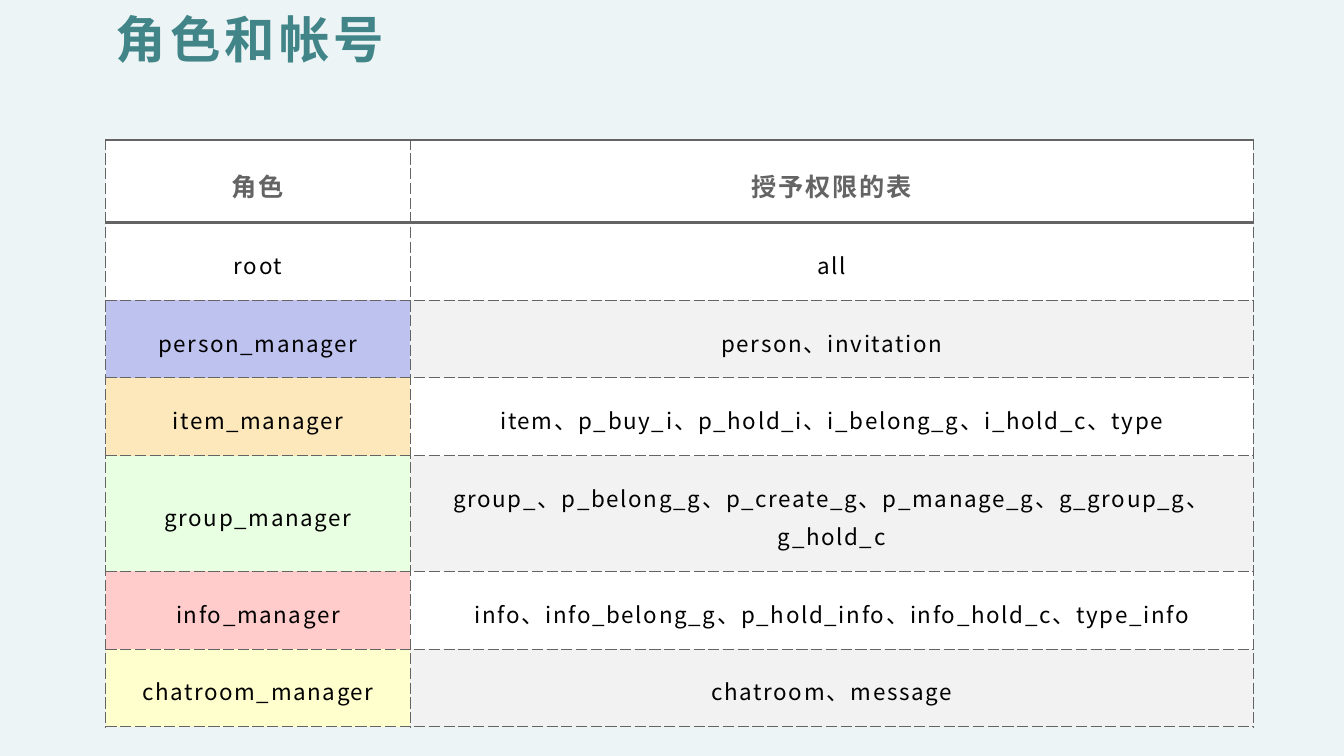
import pptx
import pptx.util
import pptx.dml.color
import pptx.enum.text
import pptx.oxml
import pptx.oxml.ns
from pptx.dml.color import RGBColor

TEAL = RGBColor(0x41, 0x85, 0x88)
GRAY = RGBColor(0x64, 0x64, 0x64)
BLACK = RGBColor(0, 0, 0)
WHITE = RGBColor(0xFF, 0xFF, 0xFF)
BAND = RGBColor(0xF2, 0xF2, 0xF2)
PALE_BLUE = RGBColor(0xEC, 0xF4, 0xF6)
LAVENDER = RGBColor(0xBE, 0xC2, 0xEF)
ORANGE = RGBColor(0xFD, 0xE8, 0xBC)
GREEN = RGBColor(0xE9, 0xFF, 0xE2)
PINK = RGBColor(0xFF, 0xCB, 0xCB)
YELLOW = RGBColor(0xFF, 0xFF, 0xCE)

TITLE = "角色和帐号"
HEADER = ("角色", "授予权限的表")
ROLES = [  # role, colour of the role cell, tables granted
    ("root", WHITE, ["all"]),
    ("person_manager", LAVENDER, ["person", "invitation"]),
    ("item_manager", ORANGE,
     ["item", "p_buy_i", "p_hold_i", "i_belong_g", "i_hold_c", "type"]),
    ("group_manager", GREEN,
     ["group_", "p_belong_g", "p_create_g", "p_manage_g", "g_group_g", "g_hold_c"]),
    ("info_manager", PINK,
     ["info", "info_belong_g", "p_hold_info", "info_hold_c", "type_info"]),
    ("chatroom_manager", YELLOW, ["chatroom", "message"]),
]

LEFT, TABLE_TOP = 1.05, 1.39
COLUMN_WIDTHS = (3.02, 8.36)
HEADER_HEIGHT, ROW_HEIGHT, TALL_ROW_HEIGHT = 0.82, 0.77, 1.15
TALL_ROLE = "group_manager"
TITLE_FONT, TABLE_FONT = "Noto Sans CJK JP", "Noto Sans CJK SC"
THIN, THICK = (0.75, "sysDash"), (2.25, "solid")


def style_paragraph(paragraph, font_name, size, color, bold, spacing):
    """Format every run; spacing is the gap between letters in points."""
    for run in paragraph.runs:
        run.font.name = font_name
        run.font.size = pptx.util.Pt(size)
        run.font.bold = bold
        run.font.color.rgb = color
        properties = run.font._element
        properties.set("spc", str(round(spacing * 100)))
        properties.find(pptx.oxml.ns.qn("a:latin")).addnext(pptx.oxml.parse_xml(
            f'<a:ea {pptx.oxml.ns.nsdecls("a")} typeface="{font_name}"/>'))


def set_borders(cell, top, bottom):
    properties = cell._tc.get_or_add_tcPr()
    sides = (("lnL", THIN), ("lnR", THIN), ("lnT", top), ("lnB", bottom))
    for position, (side, (width, dash)) in enumerate(sides):
        properties.insert(position, pptx.oxml.parse_xml(
            f'<a:{side} {pptx.oxml.ns.nsdecls("a")} w="{pptx.util.Pt(width)}">'
            f'<a:solidFill><a:srgbClr val="{GRAY}"/></a:solidFill>'
            f'<a:prstDash val="{dash}"/></a:{side}>'))


def fill_cell(cell, text, fill, row):
    cell.text_frame.text = text
    cell.vertical_anchor = pptx.enum.text.MSO_ANCHOR.MIDDLE
    cell.margin_left = cell.margin_right = pptx.util.Inches(0.28)
    cell.margin_top = cell.margin_bottom = pptx.util.Inches(0.19)
    cell.fill.solid()
    cell.fill.fore_color.rgb = fill
    paragraph = cell.text_frame.paragraphs[0]
    paragraph.alignment = pptx.enum.text.PP_ALIGN.CENTER
    paragraph.line_spacing = 1.2
    if row == 0:
        style_paragraph(paragraph, TABLE_FONT, 18, GRAY, True, 1.3)
    else:
        style_paragraph(paragraph, TABLE_FONT, 16, BLACK, False, 1.2)
    set_borders(cell, THICK if row < 2 else THIN, THICK if row == 0 else THIN)


def add_title(slide):
    box = slide.shapes.add_textbox(*map(pptx.util.Inches, (LEFT, 0, 12, 0.77)))
    frame = box.text_frame
    frame.word_wrap = True
    frame.vertical_anchor = pptx.enum.text.MSO_ANCHOR.MIDDLE
    frame.text = TITLE
    style_paragraph(frame.paragraphs[0], TITLE_FONT, 36, TEAL, True, 3)


def add_role_table(slide):
    rows = [(HEADER, (WHITE, WHITE), HEADER_HEIGHT)]
    for index, (role, color, tables) in enumerate(ROLES):
        height = TALL_ROW_HEIGHT if role == TALL_ROLE else ROW_HEIGHT
        rows.append(((role, "、".join(tables)), (color, BAND if index % 2 else WHITE), height))

    size = (sum(COLUMN_WIDTHS), sum(height for _, _, height in rows))
    table = slide.shapes.add_table(
        len(rows), len(COLUMN_WIDTHS),
        *map(pptx.util.Inches, (LEFT, TABLE_TOP, *size))).table
    for column, width in zip(table.columns, COLUMN_WIDTHS):
        column.width = pptx.util.Inches(width)
    for row, (texts, fills, height) in enumerate(rows):
        table.rows[row].height = pptx.util.Inches(height)
        for column, (text, fill) in enumerate(zip(texts, fills)):
            fill_cell(table.cell(row, column), text, fill, row)


def main():
    presentation = pptx.Presentation()
    presentation.slide_width = pptx.util.Inches(13.33)
    presentation.slide_height = pptx.util.Inches(7.5)
    slide = presentation.slides.add_slide(presentation.slide_layouts[6])
    slide.background.fill.solid()
    slide.background.fill.fore_color.rgb = PALE_BLUE
    add_title(slide)
    add_role_table(slide)
    presentation.save("out.pptx")


if __name__ == "__main__":
    main()
